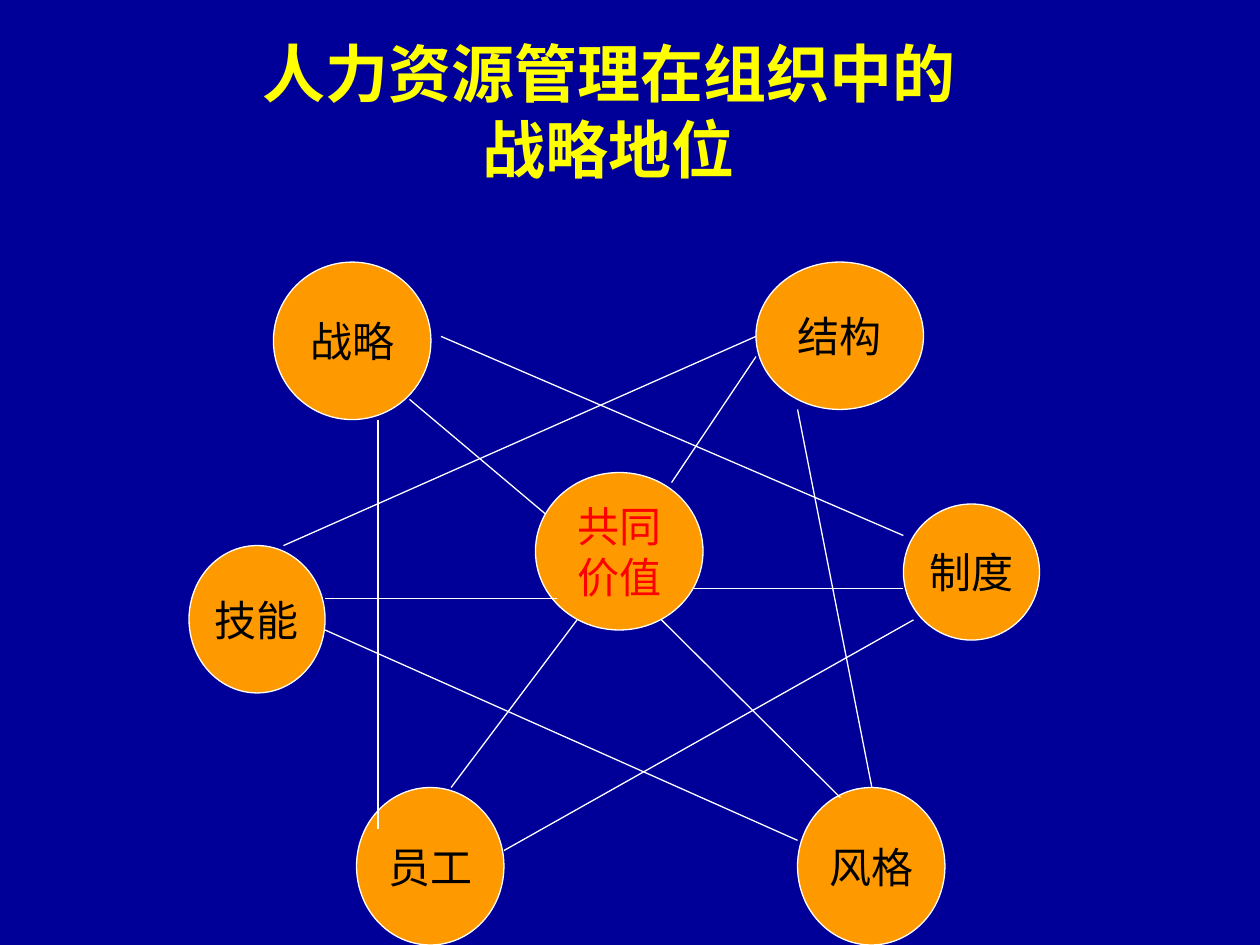
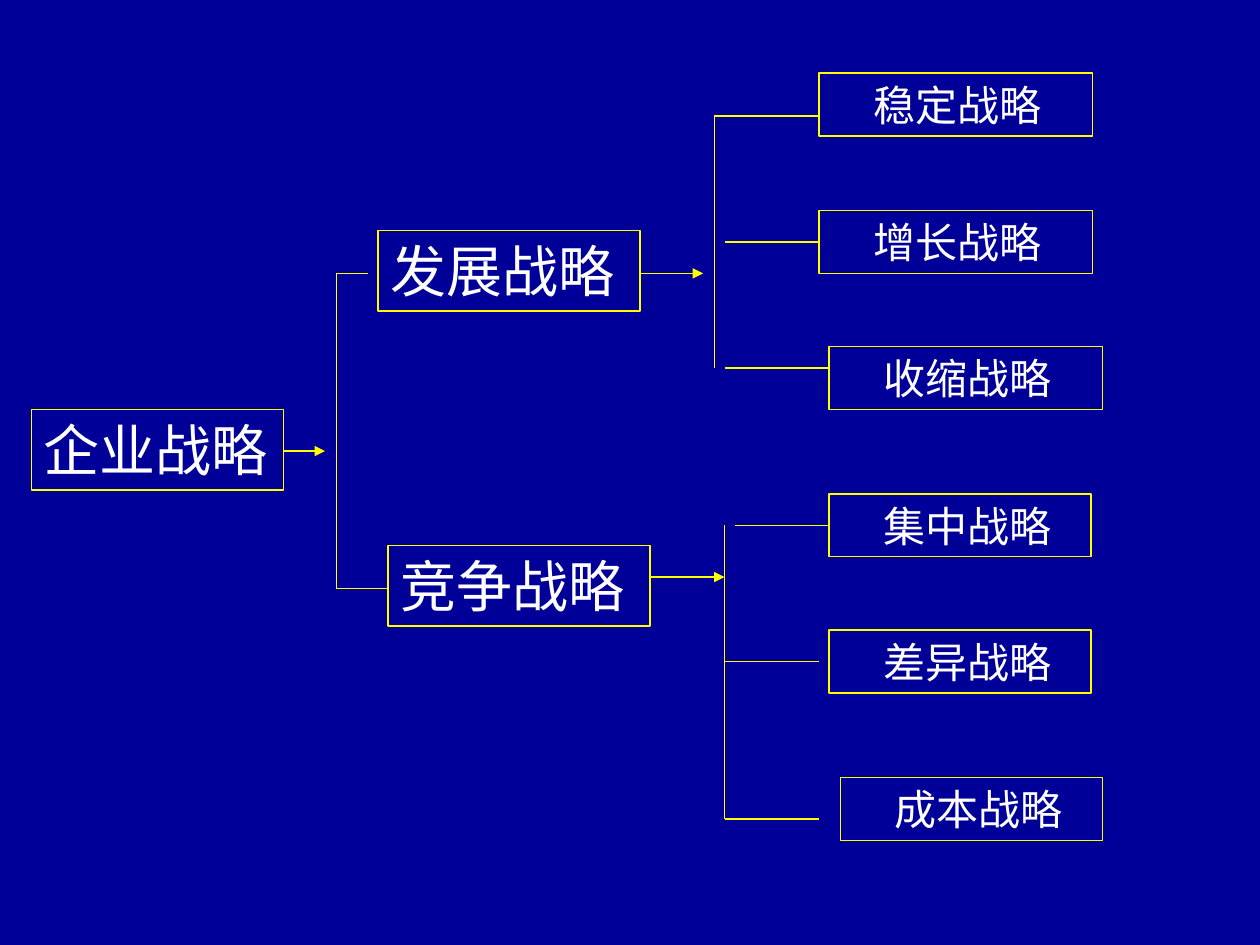
import pptx
import pptx.dml.color
import pptx.enum.shapes
import pptx.enum.text
import pptx.oxml
import pptx.util
from pptx.dml.color import RGBColor
from pptx.enum.shapes import MSO_CONNECTOR, MSO_SHAPE
from pptx.enum.text import MSO_ANCHOR, MSO_AUTO_SIZE, PP_ALIGN
from pptx.util import Inches

NAVY = RGBColor(0x00, 0x00, 0x99)
YELLOW = RGBColor(0xFF, 0xFF, 0x00)
ORANGE = RGBColor(0xFF, 0x99, 0x00)
RED = RGBColor(0xFF, 0x00, 0x00)
WHITE = RGBColor(0xFF, 0xFF, 0xFF)
BLACK = RGBColor(0x00, 0x00, 0x00)
FONT = "Times New Roman"
LINE_WIDTH = pptx.util.Pt(0.75)

TITLE = "人力资源管理在组织中的\v战略地位"
TITLE_BOX = (0.58, 0.25, 8.5, 1.25)

# text, (left, top, width, height), text colour
CIRCLES = [
    ("共同\n价值", (4.25, 3.75, 1.33, 1.25), RED),
    ("战略", (2.17, 2.08, 1.25, 1.25), BLACK),
    ("结构", (6, 2.08, 1.33, 1.17), BLACK),
    ("制度", (7.17, 4, 1.08, 1.08), BLACK),
    ("风格", (6.33, 6.25, 1.17, 1.25), BLACK),
    ("员工", (2.83, 6.25, 1.17, 1.25), BLACK),
    ("技能", (1.5, 4.33, 1.08, 1.17), BLACK),
]
# start x, start y, end x, end y
SPOKES = [
    (3.25, 3.17, 4.33, 4.08),
    (5.25, 4.92, 6.67, 6.33),
    (6, 2.83, 5.33, 3.83),
    (4.58, 4.92, 3.58, 6.25),
    (2.58, 4.75, 4.42, 4.75),
    (5.5, 4.67, 7.17, 4.67),
]
CROSS_LINKS = [
    (2.25, 4.33, 6, 2.67),
    (3.5, 2.67, 7.17, 4.25),
    (7.25, 4.92, 4, 6.75),
    (2.58, 5, 6.33, 6.67),
    (6.33, 3.25, 6.92, 6.25),
    (3, 3.33, 3, 6.58),
]

# text, left, top, width
MAIN_BOXES = [
    ("企业战略", 0.25, 3.25, 2),
    ("发展战略", 3, 1.83, 2.08),
    ("竞争战略", 3.08, 4.33, 2.08),
]
OPTION_BOXES = [
    ("稳定战略", 6.5, 0.58, 2.17),
    ("增长战略", 6.5, 1.67, 2.17),
    ("收缩战略", 6.58, 2.75, 2.17),
    ("集中战略", 6.58, 3.92, 2.08),
    ("差异战略", 6.58, 5, 2.08),
    ("成本战略", 6.67, 6.17, 2.08),
]
# height, text size, left inset
MAIN_STYLE = (0.64, 32, 0.1)
OPTION_STYLE = (0.5, 24, 0.43)

# Each bracket: arrow (start x, end x, y), trunk x, branches (start x, end x, y)
BRACKETS = [
    ((2.25, 2.58, 3.58), 2.67, [(2.67, 2.92, 2.17), (2.67, 3.08, 4.67)]),
    ((5.08, 5.58, 2.17), 5.67,
     [(5.67, 6.5, 0.92), (5.75, 6.5, 1.92), (5.75, 6.58, 2.92)]),
    ((5.17, 5.75, 4.58), 5.75,
     [(5.83, 6.58, 4.17), (5.75, 6.5, 5.25), (5.75, 6.5, 6.5)]),
]


def add_slide(presentation):
    slide = presentation.slides.add_slide(presentation.slide_layouts[6])
    slide.background.fill.solid()
    slide.background.fill.fore_color.rgb = NAVY
    return slide


def write_text(shape, text, size, color, alignment, bold=False):
    shape.text_frame.text = text
    for paragraph in shape.text_frame.paragraphs:
        paragraph.alignment = alignment
        paragraph.font.name = FONT
        paragraph.font.size = pptx.util.Pt(size)
        paragraph.font.bold = bold
        paragraph.font.color.rgb = color


def add_outlined_shape(slide, kind, box, line_color):
    shape = slide.shapes.add_shape(kind, *map(Inches, box))
    shape.shadow.inherit = False
    shape.fill.background()
    shape.line.color.rgb = line_color
    shape.line.width = LINE_WIDTH
    return shape


def add_line(slide, ends, color, arrow=False):
    line = slide.shapes.add_connector(MSO_CONNECTOR.STRAIGHT, *map(Inches, ends))
    line.line.color.rgb = color
    line.line.width = LINE_WIDTH
    properties = line._element.spPr
    if arrow:
        outline = properties.find(pptx.oxml.ns.qn("a:ln"))
        pptx.oxml.xmlchemy.OxmlElement("a:tailEnd")
        tail = pptx.oxml.xmlchemy.OxmlElement("a:tailEnd")
        tail.set("type", "triangle")
        outline.append(tail)
    properties.append(pptx.oxml.xmlchemy.OxmlElement("a:effectLst"))


def add_title(slide):
    title = slide.shapes.add_textbox(*map(Inches, TITLE_BOX))
    title.text_frame.word_wrap = True
    title.text_frame.vertical_anchor = MSO_ANCHOR.MIDDLE
    write_text(title, TITLE, 36, YELLOW, PP_ALIGN.CENTER, bold=True)


def add_circle(slide, text, box, text_color):
    circle = add_outlined_shape(slide, MSO_SHAPE.OVAL, box, WHITE)
    circle.fill.solid()
    circle.fill.fore_color.rgb = ORANGE
    circle.text_frame.word_wrap = False
    circle.text_frame.vertical_anchor = MSO_ANCHOR.MIDDLE
    write_text(circle, text, 24, text_color, PP_ALIGN.CENTER)


def add_strategy_box(slide, text, left, top, width, style):
    height, size, inset = style
    box = add_outlined_shape(
        slide, MSO_SHAPE.RECTANGLE, (left, top, width, height), YELLOW)
    frame = box.text_frame
    frame.word_wrap = True
    frame.auto_size = MSO_AUTO_SIZE.SHAPE_TO_FIT_TEXT
    frame.vertical_anchor = MSO_ANCHOR.TOP
    frame.margin_left = Inches(inset)
    write_text(box, text, size, WHITE, PP_ALIGN.LEFT)


def add_bracket(slide, arrow, trunk_x, branches):
    """Draw an arrow into a vertical trunk that spans its branches."""
    start_x, end_x, y = arrow
    add_line(slide, (start_x, y, end_x, y), YELLOW, arrow=True)
    add_line(slide, (trunk_x, branches[0][2], trunk_x, branches[-1][2]), YELLOW)
    for start_x, end_x, y in branches:
        add_line(slide, (start_x, y, end_x, y), YELLOW)


def build_star_slide(presentation):
    slide = add_slide(presentation)
    add_title(slide)
    for circle in CIRCLES:
        add_circle(slide, *circle)
    for ends in SPOKES + CROSS_LINKS:
        add_line(slide, ends, WHITE)


def build_tree_slide(presentation):
    slide = add_slide(presentation)
    for boxes, style in ((MAIN_BOXES, MAIN_STYLE), (OPTION_BOXES, OPTION_STYLE)):
        for box in boxes:
            add_strategy_box(slide, *box, style)
    for bracket in BRACKETS:
        add_bracket(slide, *bracket)


def main():
    presentation = pptx.Presentation()
    presentation.slide_width = Inches(10)
    presentation.slide_height = Inches(7.5)
    build_star_slide(presentation)
    build_tree_slide(presentation)
    presentation.save("out.pptx")


if __name__ == "__main__":
    main()
